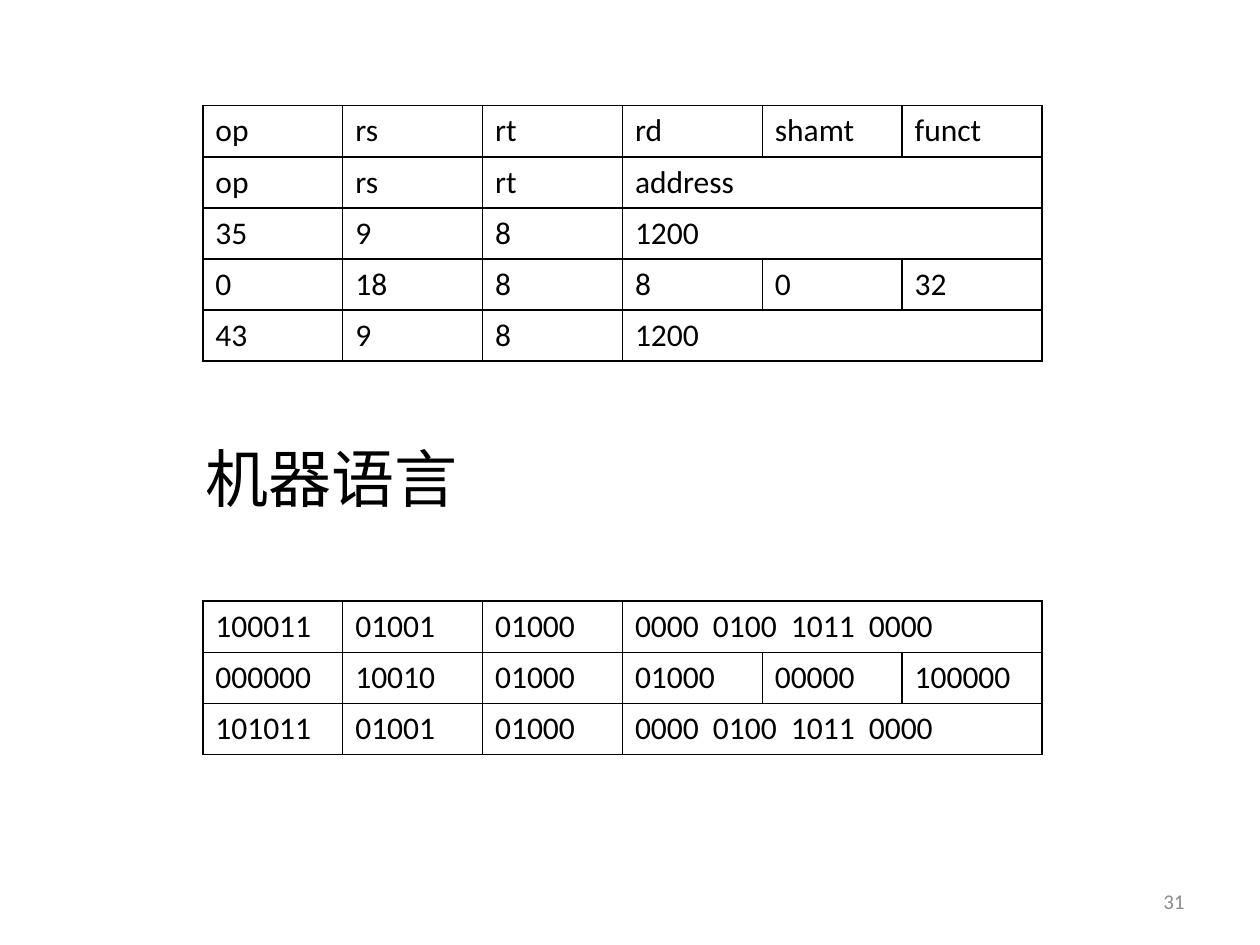
import lxml.etree
import pptx
import pptx.dml.color
import pptx.enum.text
import pptx.oxml.ns
import pptx.util
from pptx.util import Cm

COLORS = {"ink": "000000", "page_number": "8C8C8C"}
FONT = "Calibri"

decimal_fields = [
    ["op", "rs", "rt", "rd", "shamt", "funct"],
    ["op", "rs", "rt", "address"],
    ["35", "9", "8", "1200"],
    ["0", "18", "8", "8", "0", "32"],
    ["43", "9", "8", "1200"],
]
binary_fields = [
    ["100011", "01001", "01000", "0000  0100  1011  0000"],
    ["000000", "10010", "01000", "01000", "00000", "100000"],
    ["101011", "01001", "01000", "0000  0100  1011  0000"],
]
instruction_tables = [(2.13, decimal_fields), (12.12, binary_fields)]
captions = [
    ("机器语言", (3.89, 8.74, 8.99, 1.8), 36, "ink", "LEFT", "TOP"),
    ("31", (18.21, 17.65, 5.92, 1.02), 12, "page_number", "RIGHT", "MIDDLE"),
]

FIELD_COUNT = 6
TABLE_LEFT, FIELD_WIDTH, ROW_HEIGHT = 4.09, 2.82, 1.03


def style_text(paragraph, size, color):
    paragraph.font.name = FONT
    paragraph.font.size = pptx.util.Pt(size)
    paragraph.font.color.rgb = pptx.dml.color.RGBColor.from_string(COLORS[color])


def add_borders(cell):
    qn = pptx.oxml.ns.qn
    properties = cell._tc.get_or_add_tcPr()
    for side in ("a:lnL", "a:lnR", "a:lnT", "a:lnB"):
        border = lxml.etree.SubElement(properties, qn(side), w=str(pptx.util.Pt(1)))
        fill = lxml.etree.SubElement(border, qn("a:solidFill"))
        lxml.etree.SubElement(fill, qn("a:srgbClr"), val=COLORS["ink"])


def add_instruction_table(slide, top, instructions):
    table = slide.shapes.add_table(
        len(instructions), FIELD_COUNT, Cm(TABLE_LEFT), Cm(top),
        Cm(FIELD_WIDTH * FIELD_COUNT), Cm(ROW_HEIGHT * len(instructions)),
    ).table
    table.first_row = False
    table.horz_banding = False
    for cell in table.iter_cells():
        add_borders(cell)
        cell.fill.background()
    for row, fields in enumerate(instructions):
        for column, field in enumerate(fields):
            cell = table.cell(row, column)
            cell.text = field
            style_text(cell.text_frame.paragraphs[0], 18, "ink")
        if len(fields) < FIELD_COUNT:
            table.cell(row, len(fields) - 1).merge(table.cell(row, FIELD_COUNT - 1))


def add_caption(slide, text, place, size, color, align, anchor):
    frame = slide.shapes.add_textbox(*map(Cm, place)).text_frame
    frame.word_wrap = True
    frame.vertical_anchor = pptx.enum.text.MSO_ANCHOR[anchor]
    frame.text = text
    paragraph = frame.paragraphs[0]
    paragraph.alignment = pptx.enum.text.PP_ALIGN[align]
    style_text(paragraph, size, color)


def main():
    presentation = pptx.Presentation()
    presentation.slide_width, presentation.slide_height = Cm(25.4), Cm(19.05)
    slide = presentation.slides.add_slide(presentation.slide_layouts[6])
    for top, instructions in instruction_tables:
        add_instruction_table(slide, top, instructions)
    for caption in captions:
        add_caption(slide, *caption)
    presentation.save("out.pptx")


if __name__ == "__main__":
    main()
